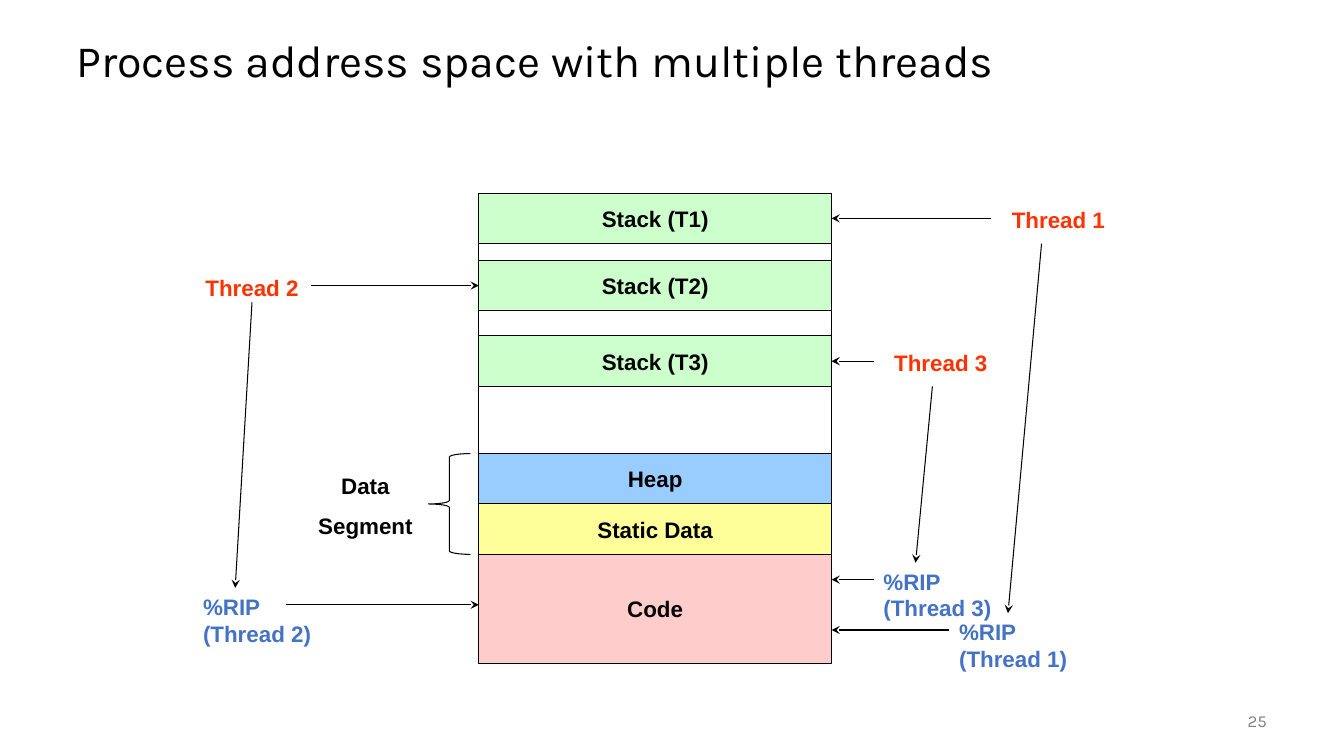
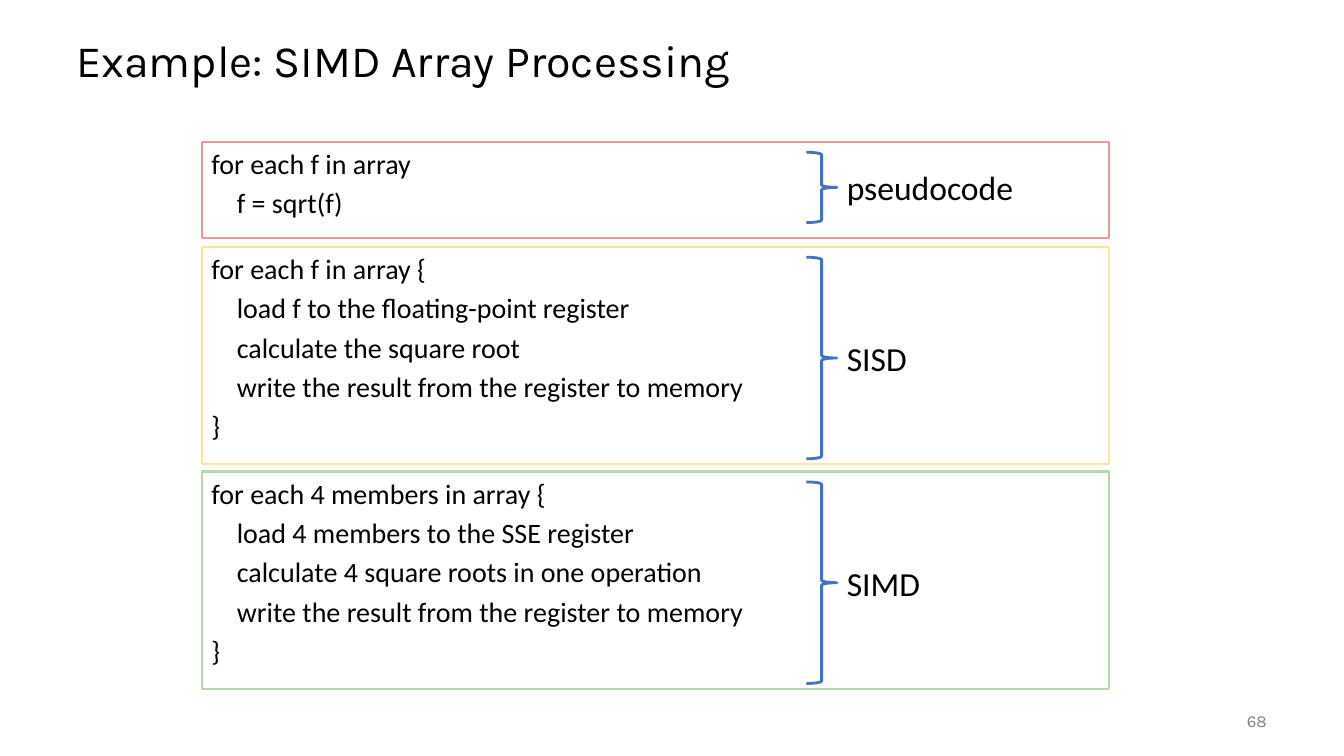
from collections import namedtuple
from dataclasses import dataclass

from lxml.etree import SubElement
from pptx import Presentation
from pptx.dml.color import RGBColor
from pptx.enum.shapes import MSO_CONNECTOR as Connector, MSO_SHAPE as Preset
from pptx.enum.text import MSO_ANCHOR as Anchor, MSO_AUTO_SIZE as AutoSize, PP_ALIGN as Align
from pptx.oxml.ns import qn
from pptx.util import Pt

EMU_PER_PX = 9525
LEFT_SIDE, RIGHT_SIDE = 1, 3
Box = namedtuple("Box", "left top width height")

COLORS = {
    "black": "000000",
    "gray": "808080",
    "orange": "FF3300",
    "blue": "4472C4",
    "stack": "CCFFCC",
    "heap": "99CCFF",
    "static": "FFFF99",
    "code": "FFCCCC",
    "red line": "EA9999",
    "yellow line": "FFE599",
    "green line": "B6D7A8",
}
FONTS = {
    "title": {"name": "Karla", "size": Pt(32), "bold": False},
    "number": {"name": "Karla", "size": Pt(12)},
    "diagram": {"name": "Arial", "size": Pt(16), "bold": True},
    "listing": {"name": "Calibri", "size": Pt(20)},
    "caption": {"name": "Calibri", "size": Pt(24)},
}
TITLE_BOX = Box(63, 24, 1152, 72)
NUMBER_BOX = Box(1120, 667, 96, 38)


@dataclass
class Thread:
    number: int
    label: tuple
    stack_arrow_x: int
    pointer_start: tuple
    pointer_end_x: int
    register: Box
    register_arrow_x: int


SEGMENTS = [
    ("Stack (T1)", "stack", 0, 48),
    ("Stack (T2)", "stack", 64, 48),
    ("Stack (T3)", "stack", 136, 48),
    ("Heap", "heap", 248, 48),
    ("Static Data", "static", 296, 48),
    ("Code", "code", 344, 104),
]
THREADS = [
    Thread(1, (464, 8), 488, (536, 48), 504, Box(448, 400, 128, 61), 448),
    Thread(2, (-304, 72), -160, (-216, 104), -232, Box(-272, 376, 135, 61), -184),
    Thread(3, (352, 144), 376, (432, 184), 416, Box(376, 352, 144, 61), 376),
]
LISTINGS = [
    ("pseudocode", "red line", 135, 92, 67,
     ["for each f in array", "    f = sqrt(f)"]),
    ("SISD", "yellow line", 235, 207, 192,
     ["for each f in array {",
      "    load f to the floating-point register",
      "    calculate the square root",
      "    write the result from the register to memory",
      "}"]),
    ("SIMD", "green line", 449, 207, 192,
     ["for each 4 members in array {",
      "    load 4 members to the SSE register",
      "    calculate 4 square roots in one operation",
      "    write the result from the register to memory",
      "}"]),
]


def px(*lengths):
    return [length * EMU_PER_PX for length in lengths]


def rgb(color):
    return RGBColor.from_string(COLORS[color])


def within(outer, left, top, width, height):
    return Box(outer.left + left, outer.top + top, width, height)


def write_text(shape, lines, style, color="black", align=Align.LEFT,
               anchor=Anchor.TOP, gap=0, line_spacing=None):
    frame = shape.text_frame
    frame_format = {"word_wrap": True, "auto_size": AutoSize.NONE, "vertical_anchor": anchor}
    for name, value in frame_format.items():
        setattr(frame, name, value)
    for index, line in enumerate(lines):
        paragraph = frame.add_paragraph() if index else frame.paragraphs[0]
        paragraph_format = {"alignment": align, "line_spacing": line_spacing,
                            "space_before": Pt(gap if index else 0)}
        for name, value in paragraph_format.items():
            setattr(paragraph, name, value)
        run = paragraph.add_run()
        run.text = line
        for name, value in FONTS[style].items():
            setattr(run.font, name, value)
        run.font.color.rgb = rgb(color)


def add_label(slide, box, lines, style, **text_format):
    label = slide.shapes.add_textbox(*px(*box))
    write_text(label, lines, style, **text_format)


def add_outline(slide, preset, box, line="black", weight=0.75, fill=None):
    shape = slide.shapes.add_shape(preset, *px(*box))
    shape.shadow.inherit = False
    if fill:
        shape.fill.solid()
        shape.fill.fore_color.rgb = rgb(fill)
    else:
        shape.fill.background()
    shape.line.color.rgb = rgb(line)
    shape.line.width = Pt(weight)
    return shape


def add_arrow(slide, origin, start, end):
    points = [origin.left + start[0], origin.top + start[1],
              origin.left + end[0], origin.top + end[1]]
    arrow = slide.shapes.add_connector(Connector.STRAIGHT, *px(*points))
    arrow.line.color.rgb = rgb("black")
    arrow.line.width = Pt(0.75)
    SubElement(arrow.line._get_or_add_ln(), qn("a:tailEnd"), type="stealth")
    SubElement(arrow._element.spPr, qn("a:effectLst"))
    return arrow


def add_slide(presentation, title, number):
    slide = presentation.slides.add_slide(presentation.slide_layouts[5])
    heading = slide.shapes.title
    for name, value in zip(Box._fields, px(*TITLE_BOX)):
        setattr(heading, name, value)
    write_text(heading, [title], "title", anchor=Anchor.MIDDLE, line_spacing=0.9)
    add_label(slide, NUMBER_BOX, [str(number)], "number", color="gray",
              align=Align.RIGHT, anchor=Anchor.MIDDLE)
    return slide


def add_memory(slide, box):
    add_outline(slide, Preset.RECTANGLE, box)
    segments = {}
    for name, fill, top, height in SEGMENTS:
        segment = add_outline(slide, Preset.RECTANGLE,
                              within(box, 0, top, box.width, height), fill=fill)
        write_text(segment, [name], "diagram", align=Align.CENTER, anchor=Anchor.MIDDLE)
        segments[name] = segment
    add_outline(slide, Preset.LEFT_BRACE, within(box, -48, 248, 40, 96))
    add_label(slide, within(box, -168, 261, 120, 74), ["Data", "Segment"], "diagram",
              align=Align.CENTER, gap=9)
    return segments


def add_thread(slide, box, thread, stack):
    label_x, label_y = thread.label
    register = thread.register
    edge, side = (0, LEFT_SIDE) if label_x < 0 else (box.width, RIGHT_SIDE)
    add_label(slide, within(box, label_x, label_y, 176, 36), [f"Thread {thread.number}"],
              "diagram", color="orange", align=Align.CENTER)
    add_label(slide, within(box, *register), [f"%RIP (Thread {thread.number})"],
              "diagram", color="blue")
    stack_y, register_y = label_y + 16, register.top + 16
    stack_arrow = add_arrow(slide, box, (thread.stack_arrow_x, stack_y), (edge, stack_y))
    stack_arrow.end_connect(stack, side)
    add_arrow(slide, box, thread.pointer_start, (thread.pointer_end_x, register.top))
    add_arrow(slide, box, (thread.register_arrow_x, register_y), (edge, register_y))


def add_listing(slide, box, name, line, brace_height, lines):
    panel = add_outline(slide, Preset.RECTANGLE, box, line, 1.5)
    write_text(panel, lines, "listing", gap=4)
    add_outline(slide, Preset.RIGHT_BRACE, within(box, 576, 10, 29, brace_height), "blue", 2)
    add_label(slide, within(box, 605, 10, 234, brace_height), [name], "caption",
              anchor=Anchor.MIDDLE)


def build_threads_slide(presentation):
    slide = add_slide(presentation, "Process address space with multiple threads", 25)
    memory_box = Box(456, 184, 336, 448)
    segments = add_memory(slide, memory_box)
    for thread in THREADS:
        add_thread(slide, memory_box, thread, segments[f"Stack (T{thread.number})"])


def build_simd_slide(presentation):
    slide = add_slide(presentation, "Example: SIMD Array Processing", 68)
    for name, line, top, height, brace_height, lines in LISTINGS:
        add_listing(slide, Box(192, top, 864, height), name, line, brace_height, lines)


def main():
    presentation = Presentation()
    presentation.slide_width, presentation.slide_height = px(1280, 720)
    build_threads_slide(presentation)
    build_simd_slide(presentation)
    presentation.save("out.pptx")


if __name__ == "__main__":
    main()
